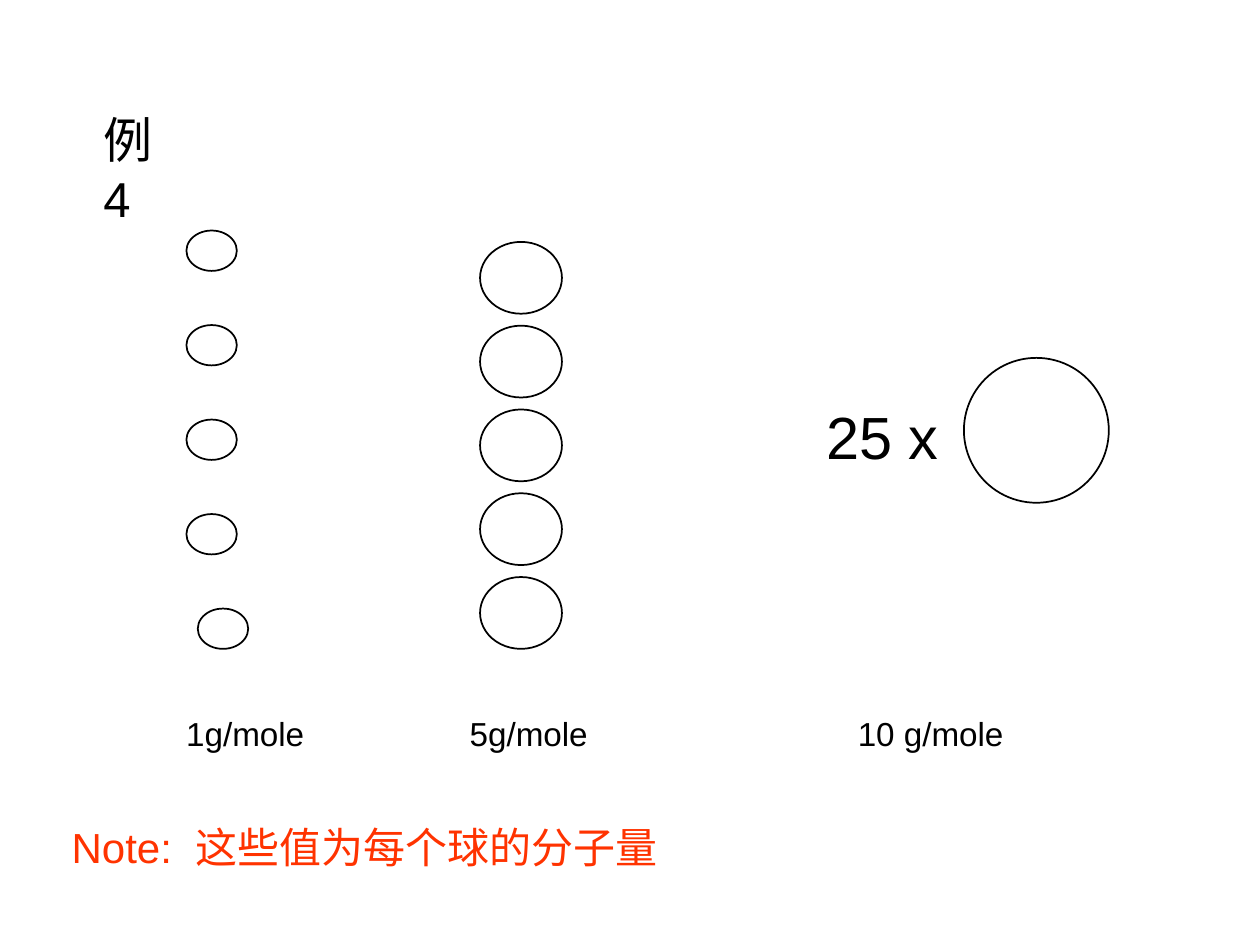
from dataclasses import dataclass

from pptx import Presentation
from pptx.dml.color import RGBColor
from pptx.enum.shapes import MSO_SHAPE
from pptx.enum.text import MSO_ANCHOR, MSO_AUTO_SIZE, PP_ALIGN
from pptx.util import Inches, Pt

OVAL = MSO_SHAPE.OVAL
TOP, LEFT = MSO_ANCHOR.TOP, PP_ALIGN.LEFT
FIXED = MSO_AUTO_SIZE.NONE


@dataclass(frozen=True)
class Theme:
    ink: RGBColor = RGBColor(0, 0, 0)
    paper: RGBColor = RGBColor(255, 255, 255)
    accent: RGBColor = RGBColor(0xFF, 0x33, 0)
    font: str = "Arial"
    title_font: str = "DejaVu Sans"
    title: int = 28
    note: int = 24
    label: int = 19
    count: int = 34
    line: int = 1


THEME = Theme()

# Ball columns: left, first top, width, height, pitch, count, shift of last ball
COLUMNS = [
    (1.48, 1.83, 0.40, 0.32, 0.75, 5, 0.09),
    (3.81, 1.92, 0.65, 0.57, 0.665, 5, 0),
    (7.65, 2.84, 1.15, 1.15, 0, 1, 0),
]
LABEL_TOP, LABEL_HIGH = 5.61, 0.41
LABELS = [("1g/mole", 1.38, 1.14), ("5g/mole", 3.63, 1.14), ("10 g/mole", 6.71, 1.36)]
COUNT = ("25 x", (6.46, 3.13, 1.09, 0.66))
NOTE = ("Note:  这些值为每个球的分子量", (0.47, 6.47, 4.85, 0.5))
TITLE = [("例", THEME.title_font), ("4", THEME.font)]
TITLE_BOX = (0.72, 0.82, 0.75, 0.57)


def write(shape, runs, size, color, wrap):
    frame = shape.text_frame
    frame.auto_size = FIXED
    frame.word_wrap = wrap
    frame.vertical_anchor = TOP
    para = frame.paragraphs[0]
    para.alignment = LEFT
    for text, font in runs:
        run = para.add_run()
        run.text = text
        run.font.name = font
        run.font.size = Pt(size)
        run.font.color.rgb = color


def add_text(slide, text, box, size, color=THEME.ink, wrap=False):
    shape = slide.shapes.add_textbox(*map(Inches, box))
    write(shape, [(text, THEME.font)], size, color, wrap)


def add_ball(slide, box):
    ball = slide.shapes.add_shape(OVAL, *map(Inches, box))
    ball.shadow.inherit = False
    ball.fill.solid()
    ball.fill.fore_color.rgb = THEME.paper
    ball.line.color.rgb = THEME.ink
    ball.line.width = Pt(THEME.line)


def main():
    deck = Presentation()
    deck.slide_width, deck.slide_height = Inches(10), Inches(7.5)
    slide = deck.slides.add_slide(deck.slide_layouts[5])

    title = slide.shapes.title
    title.left, title.top, title.width, title.height = map(Inches, TITLE_BOX)
    write(title, TITLE, THEME.title, THEME.ink, True)

    for left, top, wide, high, pitch, count, shift in COLUMNS:
        for row in range(count):
            x = left + (shift if row == count - 1 else 0)
            add_ball(slide, (x, top + row * pitch, wide, high))

    for text, left, wide in LABELS:
        add_text(slide, text, (left, LABEL_TOP, wide, LABEL_HIGH), THEME.label)
    add_text(slide, *COUNT, THEME.count)
    add_text(slide, *NOTE, THEME.note, THEME.accent, wrap=True)

    deck.save("out.pptx")


if __name__ == "__main__":
    main()
